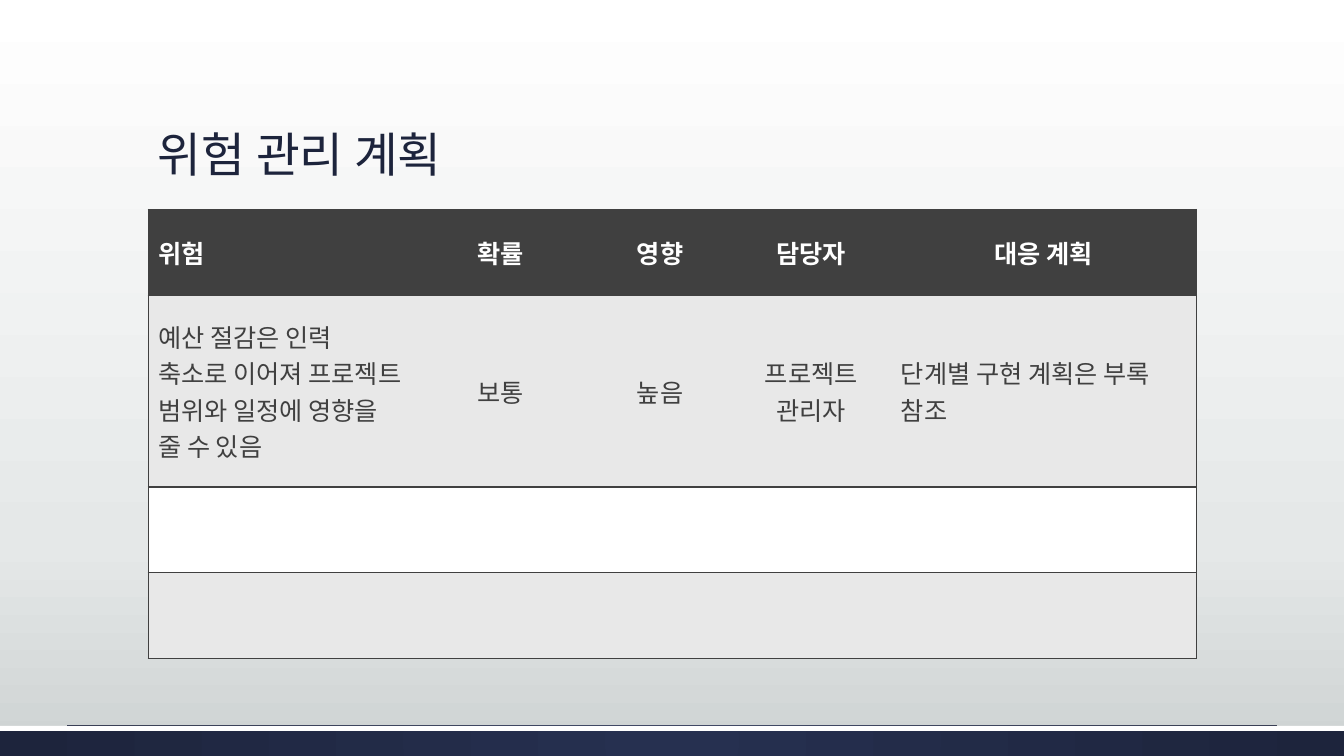
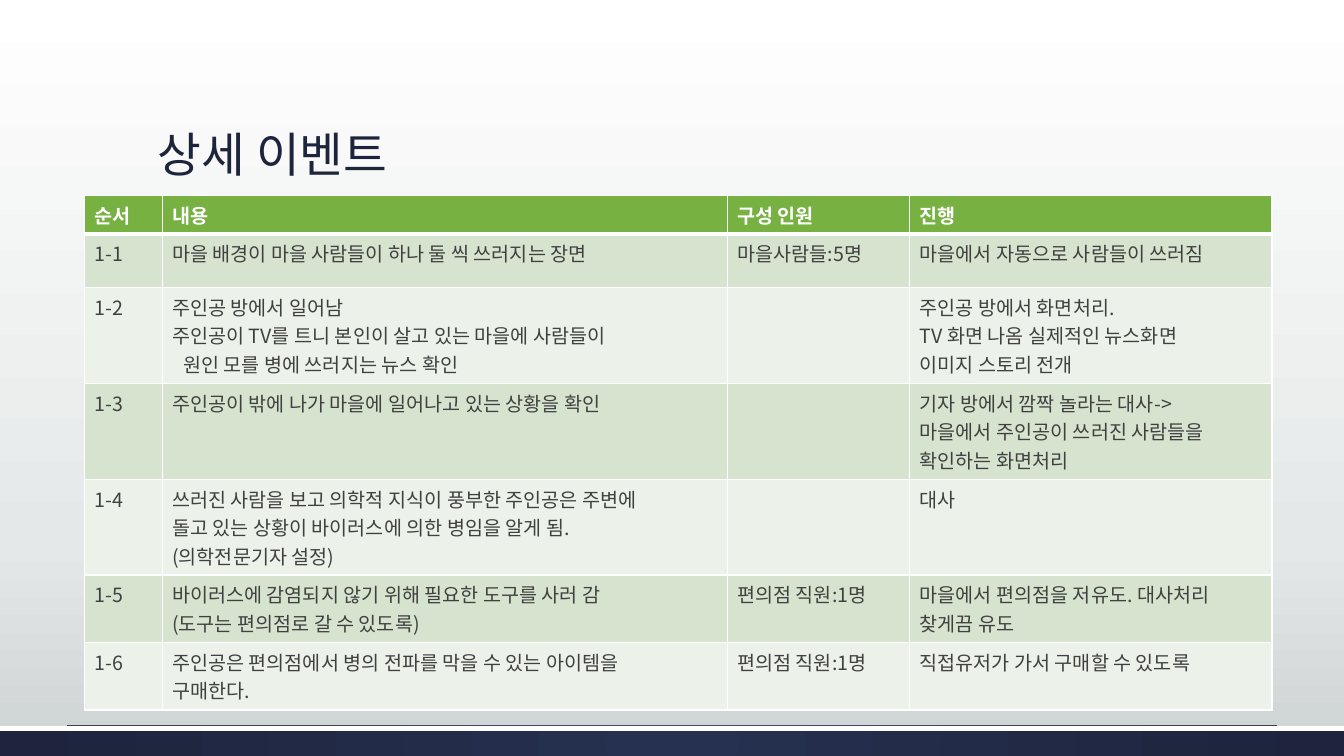
"""Build two planning slides: a risk register and a list of story events."""
from lxml import etree
from pptx import Presentation
from pptx.dml.color import RGBColor
from pptx.enum.shapes import MSO_CONNECTOR, MSO_SHAPE
from pptx.enum.text import MSO_ANCHOR, PP_ALIGN
from pptx.oxml.ns import qn
from pptx.util import Pt

LEFT, CENTER = PP_ALIGN.LEFT, PP_ALIGN.CENTER
TOP, MIDDLE, BOTTOM = MSO_ANCHOR.TOP, MSO_ANCHOR.MIDDLE, MSO_ANCHOR.BOTTOM
RECTANGLE, STRAIGHT = MSO_SHAPE.RECTANGLE, MSO_CONNECTOR.STRAIGHT

FONT = "Noto Sans CJK KR"
NAVY, NAVY_LIGHT = "1D243C", "263050"
WHITE, GRAY = "FFFFFF", "404040"
BACKDROP = [(0, WHITE), (72, "E5E8E8"), (100, "CDD2D2")]
WIDTH, HEIGHT = 960, 540
BAND_TOP, BAND_HEIGHT, STRIP_HEIGHT = 518.4, 21.6, 3.6
RULE_LEFT, RULE_RIGHT, RULE_Y = 48, 912, 518
TITLE_BOX = (105.8, 36.7, 748.8, 97.2)
NO_TABLE_STYLE = "{2D5ABB26-0587-4C30-8999-92F81FD0307C}"
HANGING_LINE, LINE_INDENT = "원인 모를 병에 쓰러지는 뉴스 확인", 8

RISKS = {
    "title": "위험 관리 계획",
    "corner": (105.8, 149.6),
    "columns": [188.6, 126, 102.2, 113.8, 218.2],
    "heights": [61.2, 137, 61.2, 61.2],
    "size": 18,
    "anchor": MIDDLE,
    "header_align": [LEFT, CENTER, CENTER, CENTER, CENTER],
    "body_align": [LEFT, CENTER, CENTER, CENTER, LEFT],
    "header_fill": GRAY,
    "row_fills": ["E8E8E8", WHITE],
    "border": GRAY,
    "inner_verticals": False,
    "header_rule": 1,
    "rows": [
        ["위험", "확률", "영향", "담당자", "대응 계획"],
        ["예산 절감은 인력 축소로 이어져 프로젝트 범위와 일정에 영향을 줄 수 있음",
         "보통", "높음", "프로젝트 관리자", "단계별 구현 계획은 부록 참조"],
        [""] * 5,
        [""] * 5,
    ],
}

EVENTS = {
    "title": "상세 이벤트",
    "corner": (60.4, 139.6),
    "columns": [55.4, 403.7, 130.3, 258.8],
    "heights": [27.5, 38.2, 68.5, 68.5, 68.5, 48.2, 48.2],
    "size": 14,
    "anchor": TOP,
    "header_align": [LEFT] * 4,
    "body_align": [LEFT] * 4,
    "header_fill": "77B142",
    "row_fills": ["D6E4CF", "ECF2E9"],
    "border": WHITE,
    "inner_verticals": True,
    "header_rule": 3,
    "rows": [
        ["순서", "내용", "구성 인원", "진행"],
        ["1-1", "마을 배경이 마을 사람들이 하나 둘 씩 쓰러지는 장면",
         "마을사람들:5명", "마을에서 자동으로 사람들이 쓰러짐"],
        ["1-2", "주인공 방에서 일어남\n"
                "주인공이 TV를 트니 본인이 살고 있는 마을에 사람들이\n" + HANGING_LINE,
         "", "주인공 방에서 화면처리.\nTV 화면 나옴 실제적인 뉴스화면\n이미지 스토리 전개"],
        ["1-3", "주인공이 밖에 나가 마을에 일어나고 있는 상황을 확인",
         "", "기자 방에서 깜짝 놀라는 대사->\n"
             "마을에서 주인공이 쓰러진 사람들을 확인하는 화면처리"],
        ["1-4", "쓰러진 사람을 보고 의학적 지식이 풍부한 주인공은 주변에\n"
                "돌고 있는 상황이 바이러스에 의한 병임을 알게 됨.\n(의학전문기자 설정)",
         "", "대사"],
        ["1-5", "바이러스에 감염되지 않기 위해 필요한 도구를 사러 감\n"
                "(도구는 편의점로 갈 수 있도록)",
         "편의점 직원:1명", "마을에서 편의점을 저유도. 대사처리\n찾게끔 유도"],
        ["1-6", "주인공은 편의점에서 병의 전파를 막을 수 있는 아이템을\n구매한다.",
         "편의점 직원:1명", "직접유저가 가서 구매할 수 있도록"],
    ],
}


def rgb(value):
    return RGBColor.from_string(value)


def points(*values):
    return [Pt(value) for value in values]


def child(parent, tag, **attributes):
    return etree.SubElement(parent, qn(tag), attributes)


def set_gradient(fill, owner, stops, radial=False):
    fill.gradient()
    gradient = next(owner.iter(qn("a:gradFill")))
    for part in list(gradient):
        gradient.remove(part)
    stop_list = child(gradient, "a:gsLst")
    for position, color in stops:
        stop = child(stop_list, "a:gs", pos=str(position * 1000))
        child(stop, "a:srgbClr", val=color)
    if radial:
        focus = child(gradient, "a:path", path="circle")
        child(focus, "a:fillToRect", **dict.fromkeys("ltrb", "50000"))
    else:
        child(gradient, "a:lin", ang="5400000", scaled="0")


def write(paragraph, text, size, color, bold=False):
    run = paragraph.add_run()
    run.text = text
    run.font.name = FONT
    run.font.size = Pt(size)
    run.font.bold = bold
    run.font.color.rgb = rgb(color)
    child(run.font._element, "a:ea", typeface=FONT)


def add_band(slide, height):
    band = slide.shapes.add_shape(RECTANGLE, *points(0, BAND_TOP, WIDTH, height))
    band.shadow.inherit = False
    band.line.fill.background()
    return band


def add_frame(slide, title):
    rule = slide.shapes.add_connector(
        STRAIGHT, *points(RULE_LEFT, RULE_Y, RULE_RIGHT, RULE_Y))
    rule.line.color.rgb = rgb(GRAY)
    rule.line.width = Pt(0.75)
    child(rule._element.spPr, "a:effectLst")
    footer = add_band(slide, BAND_HEIGHT)
    set_gradient(footer.fill, footer._element,
                 [(0, NAVY_LIGHT), (100, NAVY)], radial=True)
    strip = add_band(slide, STRIP_HEIGHT)
    strip.fill.solid()
    strip.fill.fore_color.rgb = rgb(WHITE)

    heading = slide.shapes.add_textbox(*points(*TITLE_BOX)).text_frame
    heading.word_wrap = True
    heading.vertical_anchor = BOTTOM
    heading.paragraphs[0].line_spacing = 0.9
    write(heading.paragraphs[0], title, 34, NAVY)


def set_borders(cell, color, widths):
    properties = cell._tc.get_or_add_tcPr()
    for side, width in zip("LRTB", widths):
        line = child(properties, f"a:ln{side}", w=str(Pt(width)))
        if width:
            child(child(line, "a:solidFill"), "a:srgbClr", val=color)
        else:
            child(line, "a:noFill")


def fill_cell(cell, text, row, column, content):
    header = row == 0
    last = len(content["columns"]) - 1
    inner = content["inner_verticals"]
    rule = content["header_rule"]
    set_borders(cell, content["border"], [
        int(inner or column == 0),
        int(inner or column == last),
        rule if row == 1 else 1,
        rule if header else 1,
    ])
    fills = content["row_fills"]
    cell.fill.solid()
    cell.fill.fore_color.rgb = rgb(
        content["header_fill"] if header else fills[(row - 1) % len(fills)])
    cell.vertical_anchor = content["anchor"]
    if not text:
        return
    aligns = content["header_align" if header else "body_align"]
    frame = cell.text_frame
    for index, line in enumerate(text.split("\n")):
        paragraph = frame.add_paragraph() if index else frame.paragraphs[0]
        paragraph.alignment = aligns[column]
        if line == HANGING_LINE:
            paragraph._p.get_or_add_pPr().set("marL", str(Pt(LINE_INDENT)))
        write(paragraph, line, content["size"], WHITE if header else GRAY, header)


def add_grid(slide, content):
    columns, heights, rows = content["columns"], content["heights"], content["rows"]
    table = slide.shapes.add_table(
        len(rows), len(columns),
        *points(*content["corner"], sum(columns), sum(heights))).table
    next(table._tbl.iter(qn("a:tableStyleId"))).text = NO_TABLE_STYLE
    for column, width in zip(table.columns, columns):
        column.width = Pt(width)
    for row, height in zip(table.rows, heights):
        row.height = Pt(height)
    for row, texts in enumerate(rows):
        for column, text in enumerate(texts):
            fill_cell(table.cell(row, column), text, row, column, content)


def main():
    deck = Presentation()
    deck.slide_width, deck.slide_height = points(WIDTH, HEIGHT)
    master = deck.slide_master
    set_gradient(master.background.fill, master.element, BACKDROP)
    for content in (RISKS, EVENTS):
        slide = deck.slides.add_slide(deck.slide_layouts[6])
        add_frame(slide, content["title"])
        add_grid(slide, content)
    deck.save("out.pptx")


if __name__ == "__main__":
    main()
